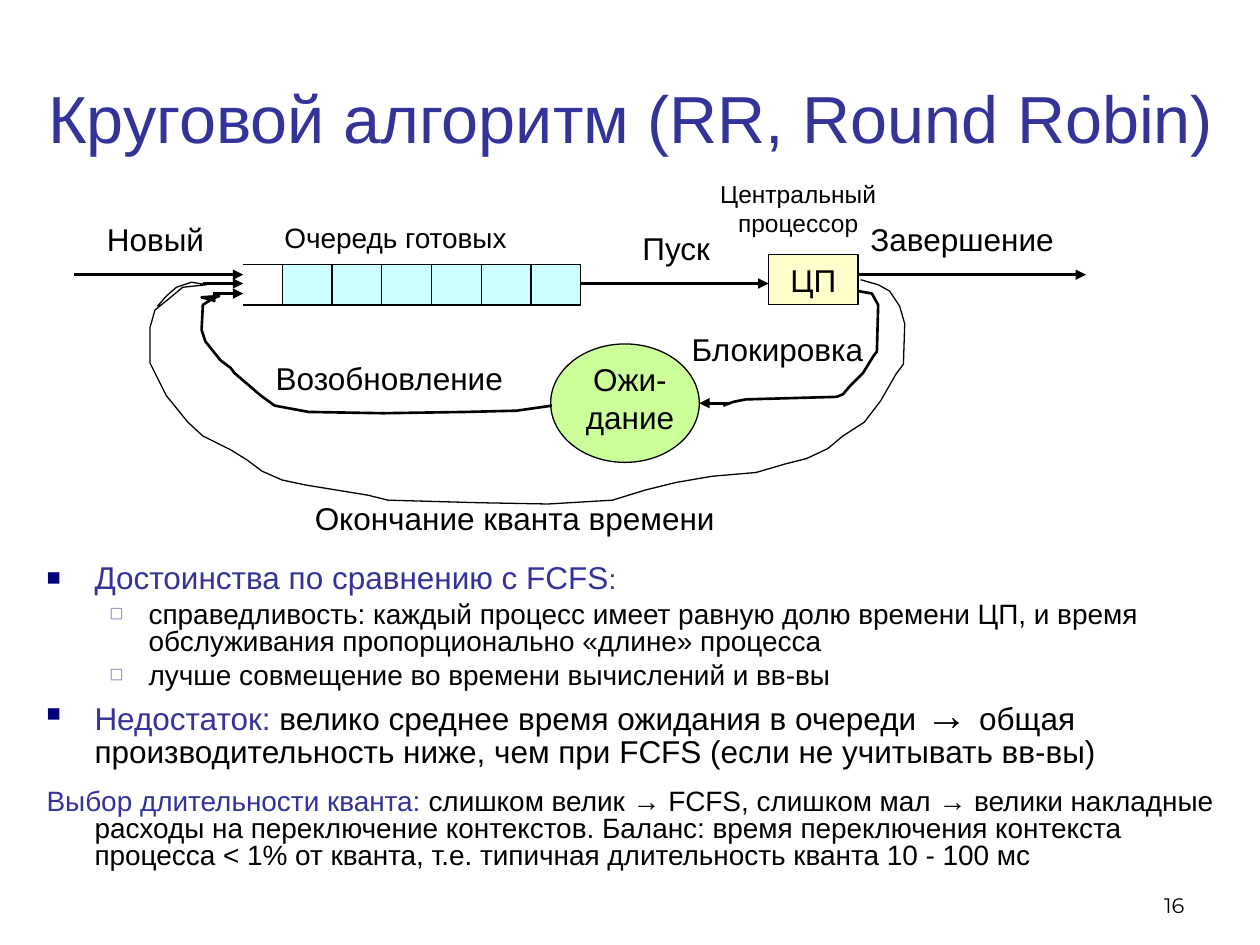
import pptx
import pptx.util
import pptx.dml.color
import pptx.enum.shapes
import pptx.enum.text
import pptx.oxml
import pptx.oxml.ns
from dataclasses import dataclass

Pt = pptx.util.Pt
ALIGN = pptx.enum.text.PP_ALIGN
ANCHOR = pptx.enum.text.MSO_ANCHOR
SHAPE = pptx.enum.shapes.MSO_SHAPE


@dataclass(frozen=True)
class Theme:
    font: str = "Arial"
    number_font: str = "Montserrat"
    ink: str = "000000"
    accent: str = "333399"
    bullet: str = "00007D"
    sub_bullet: str = "9999CC"
    queue: str = "CCFFFF"
    cpu: str = "FFFFCC"
    wait: str = "CCFF99"
    title: int = 38
    arrow: int = 24
    main: int = 18
    detail: int = 16
    small: int = 14
    number: int = 12
    thin: float = 0.75
    thick: float = 1.5


T = Theme()

# Grid points, in tenths of an inch
BLOCKING = [(68.1, 23.1), (69.2, 23.3), (69.7, 24.2), (69.6, 27.9), (69.3, 28.3),
            (68.5, 29.6), (67.5, 30.6), (66.9, 31.3), (66.4, 31.5), (59.2, 31.7),
            (58.2, 31.9), (57.4, 32.2)]
RESUMING = [(43.8, 32.2), (41, 32.6), (37, 32.7), (30.4, 32.8), (24.5, 32.7), (21.8, 32.2),
            (20.7, 31.4), (18.6, 29.6), (18.3, 29.2), (17.5, 28.6), (16.3, 27.1),
            (16, 26.2), (16.1, 24.2), (16.9, 23.7), (17.4, 23.5), (16, 23.6), (17.1, 23.9)]
QUANTUM_END = [(68.3, 22.2), (69.7, 22.6), (70.6, 23.1), (71.4, 24.3), (71.8, 25.7),
               (71.7, 28.9), (71.1, 29.7), (69.9, 31.8), (68.6, 33.5), (66.9, 34.6),
               (65.7, 35.6), (64, 36.4), (62.4, 36.8), (60, 37.5), (56.5, 37.8),
               (53.6, 38.3), (51.2, 38.9), (48.6, 39.7), (43.5, 40), (38, 39.9),
               (30.8, 39.7), (29.2, 39.3), (24.3, 38.5), (22.4, 38.1), (20.8, 37.4),
               (19.6, 36.5), (18.3, 35.7), (16.1, 34.6), (14.9, 33.5), (13.2, 31.4),
               (11.9, 28.8), (11.9, 26), (12.3, 24.6), (13.3, 23.8), (14.5, 22.8),
               (16.4, 22.6), (15.2, 22.4), (14, 22.8), (13.2, 23.5), (12.5, 24.3)]


def grid(*values):
    return [pptx.util.Inches(v / 10) for v in values]


def rgb(color):
    return pptx.dml.color.RGBColor.from_string(color)


def format_run(r, size, color=T.ink, font=T.font):
    r.font.name, r.font.size = font, Pt(size)
    r.font.color.rgb = rgb(color)


def set_outline(sp, width):
    sp.line.color.rgb = rgb(T.ink)
    sp.line.width = Pt(width)


def write(sp, text, size, align=ALIGN.LEFT, anchor=ANCHOR.TOP, color=T.ink, font=T.font):
    tf = sp.text_frame
    tf.word_wrap = True
    tf.auto_size = pptx.enum.text.MSO_AUTO_SIZE.NONE
    tf.vertical_anchor = anchor
    tf.text = text
    p = tf.paragraphs[0]
    p.alignment = align
    format_run(p.runs[0], size, color, font)


def add_label(s, text, x, y, w, h=4, size=T.main, **style):
    write(s.shapes.add_textbox(*grid(x, y, w, h)), text, size, **style)


def add_block(s, kind, x, y, w, h, fill):
    sp = s.shapes.add_shape(kind, *grid(x, y, w, h))
    sp.shadow.inherit = False
    sp.fill.solid()
    sp.fill.fore_color.rgb = rgb(fill)
    set_outline(sp, T.thin)
    return sp


def add_line(s, x1, y1, x2, y2, width=T.thick, arrow=True):
    line = s.shapes.add_connector(pptx.enum.shapes.MSO_CONNECTOR.STRAIGHT,
                                  *grid(x1, y1, x2, y2))
    set_outline(line, width)
    if arrow:
        pptx.oxml.ns.qn("a:tailEnd")
        ln = line.line._get_or_add_ln()
        ln.append(pptx.oxml.parse_xml(
            f'<a:tailEnd {pptx.oxml.ns.nsdecls("a")} type="triangle"/>'))
    line._element.spPr.append(pptx.oxml.parse_xml(
        f'<a:effectLst {pptx.oxml.ns.nsdecls("a")}/>'))


def add_path(s, points, width):
    start, *rest = [grid(*point) for point in points]
    builder = s.shapes.build_freeform(*start)
    builder.add_line_segments(rest, close=False)
    sp = builder.convert_to_shape()
    sp.shadow.inherit = False
    sp.fill.background()
    set_outline(sp, width)


def set_bullet(p, left, hang, char=None, color=None, share=0):
    """Set the hanging indent in grid units, with a bullet if a character is given."""
    pPr = p._p.get_or_add_pPr()
    margin, indent = grid(left, -hang)
    pPr.set("marL", str(margin))
    pPr.set("indent", str(indent))
    parts = ["<a:buNone {}/>"]
    if char:
        parts = [f'<a:buClr {{}}><a:srgbClr val="{color}"/></a:buClr>',
                 f'<a:buSzPct {{}} val="{share * 1000}"/>',
                 f'<a:buFont {{}} typeface="{T.font}"/>',
                 f'<a:buChar {{}} char="{char}"/>']
    for part in parts:
        pPr.append(pptx.oxml.parse_xml(part.format(pptx.oxml.ns.nsdecls("a"))))


def fill_body(body):
    body.left, body.top, body.width, body.height = grid(2.7, 44.4, 95.3, 25)
    top = (0, 3.8, 3.8, "■", T.bullet, 75)
    sub = (1, 8.1, 3.1, "◻", T.sub_bullet, 80)
    plain = (0, 3.8, 3.8)
    items = [
        (top, 0, [("Достоинства по сравнению с FCFS", T.main, T.accent),
                  (":", T.detail, T.accent)]),
        (sub, 4, [("справедливость: каждый процесс имеет равную долю времени ЦП, и время "
                   "обслуживания пропорционально «длине» процесса", T.detail, T.ink)]),
        (sub, 4, [("лучше совмещение во времени вычислений и вв-вы", T.detail, T.ink)]),
        (top, 4.5, [("Недостаток:", T.main, T.accent),
                    (" велико среднее время ожидания в очереди ", T.main, T.ink),
                    ("→ ", T.arrow, T.ink),
                    ("общая производительность ниже, чем при FCFS "
                     "(если не учитывать вв-вы)", T.main, T.ink)]),
        (plain, 12, [("Выбор длительности кванта:", T.detail, T.accent),
                     (" слишком велик → FCFS, слишком мал → велики накладные расходы на "
                      "переключение контекстов. Баланс: время переключения контекста "
                      "процесса < 1% от кванта, т.е. типичная длительность кванта "
                      "10 - 100 мс", T.detail, T.ink)]),
    ]
    tf = body.text_frame
    tf.auto_size = pptx.enum.text.MSO_AUTO_SIZE.NONE
    for i, ((level, *bullet), before, runs) in enumerate(items):
        p = tf.add_paragraph() if i else tf.paragraphs[0]
        p.level, p.line_spacing, p.space_before = level, 0.8, Pt(before)
        set_bullet(p, *bullet)
        for text, size, color in runs:
            r = p.add_run()
            r.text = text
            format_run(r, size, color)


def draw_scheme(s):
    left, right, y, h, cells = 22.4, 46.1, 21, 3.2, 6
    step = (right - left) / cells
    for i in range(cells):
        add_block(s, SHAPE.RECTANGLE, left + i * step, y, step, h, T.queue)
    for edge in (y, y + h):
        add_line(s, left, edge, 19.3, edge, T.thin, arrow=False)
    cpu = add_block(s, SHAPE.RECTANGLE, 61, 20.2, 7.1, 4, T.cpu)
    write(cpu, "ЦП", T.main, ALIGN.CENTER, ANCHOR.MIDDLE)
    add_block(s, SHAPE.OVAL, 43.7, 27.3, 11.8, 9.4, T.wait)

    for ends in [(right, 22.5, 61, 22.5), (57.9, 32, 55.5, 32), (5.9, 21.8, 19.3, 21.8),
                 (16.1, 22.5, 19.3, 22.5), (16.9, 23.3, 19.3, 23.3),
                 (68.1, 21.8, 86.2, 21.8)]:
        add_line(s, *ends)
    add_path(s, BLOCKING, T.thick)
    add_path(s, RESUMING, T.thick)
    add_path(s, QUANTUM_END, T.thin)

    for label in [("Новый", 7.5, 17, 10.2), ("Пуск", 50, 17.7, 10.2),
                  ("Завершение", 68.1, 17, 18.1), ("Блокировка", 53.9, 25.7, 18.1),
                  ("Возобновление", 20.9, 28, 21.3),
                  ("Окончание кванта времени", 24, 39.1, 44.1),
                  ("Очередь готовых", 21.6, 17, 22, 3.7, T.detail)]:
        add_label(s, *label)
    add_label(s, "Ожи-дание", 45.3, 28.1, 9.4, 7, align=ALIGN.CENTER)
    add_label(s, "Центральный процессор", 55.5, 13.7, 15.7, 5.7, T.small, align=ALIGN.CENTER)


def main():
    prs = pptx.Presentation()
    prs.slide_width, prs.slide_height = grid(100, 75)
    s = prs.slides.add_slide(prs.slide_layouts[1])
    title, body = s.placeholders
    title.left, title.top, title.width, title.height = grid(0, 4.6, 100.2, 9.4)
    write(title, "Круговой алгоритм (RR, Round Robin)", T.title, ALIGN.CENTER,
          ANCHOR.MIDDLE, T.accent)
    fill_body(body)
    draw_scheme(s)
    add_label(s, "16", 71.7, 68.3, 23.3, 5, T.number, align=ALIGN.RIGHT,
              anchor=ANCHOR.BOTTOM, font=T.number_font)
    prs.save("out.pptx")


if __name__ == "__main__":
    main()
